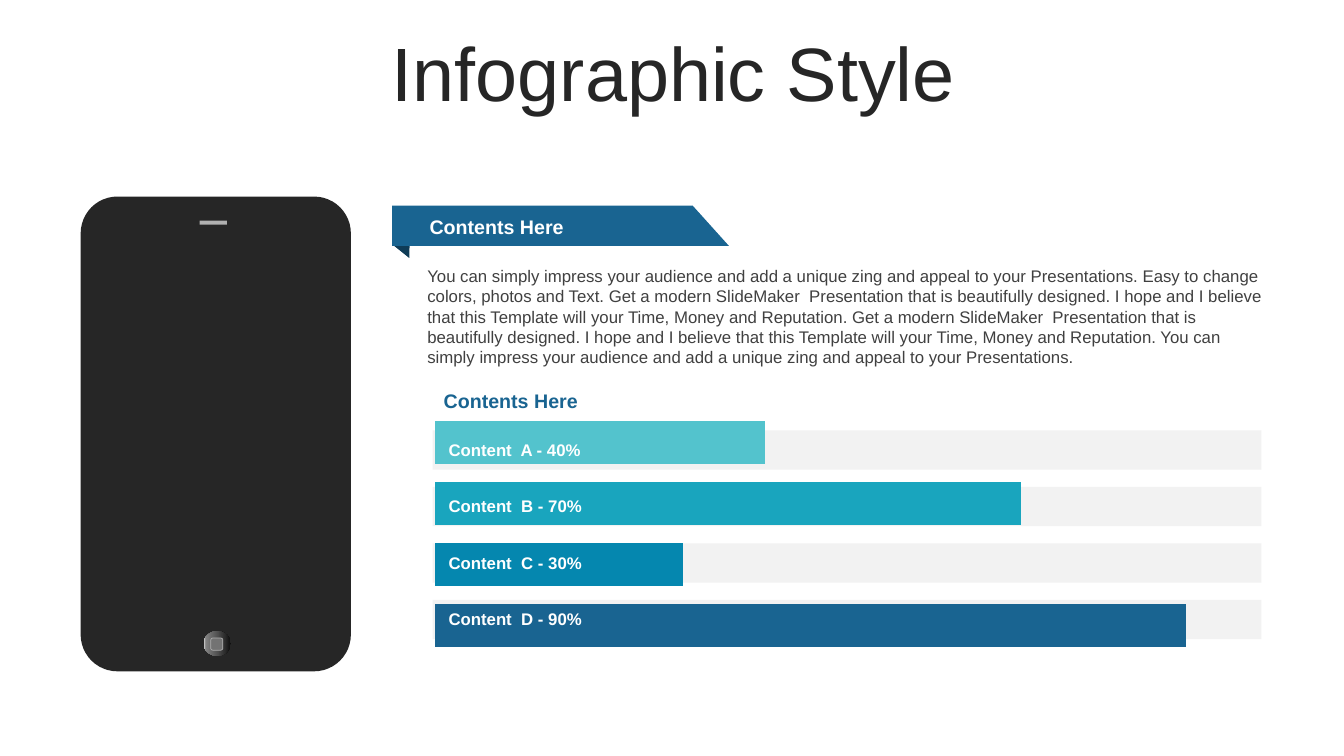
from copy import deepcopy
from pptx import Presentation
from pptx.chart.data import CategoryChartData
from pptx.dml.color import RGBColor
from pptx.enum.chart import XL_CHART_TYPE as ChartType
from pptx.enum.shapes import MSO_SHAPE as Shape
from pptx.enum.text import MSO_ANCHOR as Anchor, MSO_AUTO_SIZE as AutoSize, PP_ALIGN as Align
from pptx.oxml import parse_xml
from pptx.oxml.ns import nsdecls
from pptx.util import Inches, Pt

FONT = "Arial"
COLORS = {
    "dark": "262626", "text": "404040", "white": "FFFFFF", "black": "000000",
    "track": "F2F2F2", "silver": "B0B0B0", "key": "737373",
    "navy": "196491", "fold": "0F3C57",
    "blue": "0587AF", "teal": "19A5BE", "aqua": "53C3CD",
}
TITLE = "Infographic Style"
HEADING = "Contents Here"
BODY = (
    "You can simply impress your audience and add a unique zing and appeal to your Presentations. "
    "Easy to change colors, photos and Text. "
    "Get a modern SlideMaker  Presentation that is beautifully designed. "
    "I hope and I believe that this Template will your Time, Money and Reputation. "
    "Get a modern SlideMaker  Presentation that is beautifully designed. "
    "I hope and I believe that this Template will your Time, Money and Reputation. "
    "You can simply impress your audience and add a unique zing and appeal to your Presentations."
)
BARS = [
    ("Content  A - 40%", 44, "aqua"),
    ("Content  B - 70%", 78, "teal"),
    ("Content  C - 30%", 33, "blue"),
    ("Content  D - 90%", 100, "navy"),
]
BUTTON_STOPS = [(0, "0F0F0F"), (0.56, "595959"), (0.91, "808080"), (1, "BFBFBF")]
RIBBON = [(3.89, 2.04), (6.87, 2.04), (7.23, 2.44), (3.89, 2.44)]
RIBBON_FOLD = [(4.07, 2.06), (3.9, 2.06), (3.91, 2.44), (4.06, 2.56)]
TRACK_LEFT, TRACK_TOP, TRACK_WIDTH, TRACK_HEIGHT = 4.29, 4.27, 8.22, 0.39
TRACK_PITCH = 0.56
LABEL_LEFT, LABEL_OFFSET = 4.35, 0.04

presentation = Presentation()
presentation.slide_width, presentation.slide_height = Inches(13.33), Inches(7.5)
slide = presentation.slides.add_slide(presentation.slide_layouts[5])


def color(name):
    return RGBColor.from_string(COLORS[name])


def paint(shape, fill, line=None):
    shape.shadow.inherit = False
    shape.fill.solid()
    shape.fill.fore_color.rgb = color(fill)
    if line:
        shape.line.color.rgb = color(line)
        shape.line.width = Pt(0.5)
    else:
        shape.line.fill.background()


def add_block(kind, box, fill, line=None):
    shape = slide.shapes.add_shape(kind, *map(Inches, box))
    paint(shape, fill, line)
    return shape


def add_outline(points, fill):
    corners = [(Inches(x), Inches(y)) for x, y in points]
    builder = slide.shapes.build_freeform(*corners[0], scale=1.0)
    builder.add_line_segments(corners[1:], close=True)
    paint(builder.convert_to_shape(), fill)


def write(frame, text, size, fill, bold=False):
    frame.word_wrap = True
    paragraph = frame.paragraphs[0]
    run = paragraph.add_run()
    run.text = text
    run.font.name, run.font.size, run.font.bold = FONT, Pt(size), bold
    run.font.color.rgb = color(fill)
    return paragraph


def add_text(box, text, size, fill, bold=False, anchor=Anchor.MIDDLE, inset=0.1):
    frame = slide.shapes.add_textbox(*map(Inches, box)).text_frame
    frame.vertical_anchor = anchor
    frame.margin_left = Inches(inset)
    write(frame, text, size, fill, bold)
    return frame


def add_phone():
    body = add_block(Shape.ROUNDED_RECTANGLE, (0.8, 1.95, 2.68, 4.71), "dark")
    body.adjustments[0] = 0.136
    add_block(Shape.RECTANGLE, (1.98, 2.19, 0.27, 0.04), "silver")
    button = add_block(Shape.OVAL, (2.02, 6.26, 0.27, 0.25), "dark")
    button.fill.gradient()
    button.fill.gradient_angle = 180
    stops = button.fill.gradient_stops
    stop_list = button.fill._fill._gradFill.gsLst
    for _ in range(len(BUTTON_STOPS) - len(stops)):
        stop_list.append(deepcopy(stop_list[-1]))
    for stop, (position, shade) in zip(button.fill.gradient_stops, BUTTON_STOPS):
        stop.position = position
        stop.color.rgb = RGBColor.from_string(shade)
    add_block(Shape.ROUNDED_RECTANGLE, (2.09, 6.33, 0.12, 0.12), "key", "silver")


def add_bar_chart():
    upward = BARS[::-1]
    data = CategoryChartData()
    data.categories = [str(number + 1) for number in range(len(upward))]
    data.add_series("Series 1", [value for _, value, _ in upward])
    box = map(Inches, (4.14, 4.04, 8.63, 2.52))
    chart = slide.shapes.add_chart(ChartType.BAR_STACKED, *box, data).chart
    chart.has_legend = chart.has_title = False
    chart.font.name, chart.font.size = FONT, Pt(12)
    chart.font.color.rgb = color("black")
    chart.value_axis.minimum_scale, chart.value_axis.maximum_scale = 0, 110
    chart.value_axis.has_major_gridlines = False
    chart.value_axis.visible = chart.category_axis.visible = False
    plot = chart.plots[0]
    plot.gap_width, plot.overlap, plot.vary_by_categories = 40, 100, False
    series = plot.series[0]
    series.format.fill.solid()
    series.format.fill.fore_color.rgb = color("text")
    for index, (_, _, fill) in enumerate(upward):
        point_fill = series.points[index].format.fill
        point_fill.solid()
        point_fill.fore_color.rgb = color(fill)
    area = chart._chartSpace.chart.plotArea
    for layout in area.findall("{*}layout"):
        area.remove(layout)
    shares = {"x": 0.02, "y": 0.02, "w": 0.95, "h": 0.96}
    area.insert(0, parse_xml(
        f'<c:layout {nsdecls("c")}><c:manualLayout><c:layoutTarget val="inner"/>'
        '<c:xMode val="edge"/><c:yMode val="edge"/>'
        + "".join(f'<c:{key} val="{share}"/>' for key, share in shares.items())
        + "</c:manualLayout></c:layout>"))


def main():
    add_phone()
    add_outline(RIBBON_FOLD, "fold")
    add_outline(RIBBON, "navy")

    title = slide.shapes.title
    title.left, title.top, title.width, title.height = map(Inches, (0.35, 0.37, 12.66, 0.79))
    title.text_frame.vertical_anchor = Anchor.MIDDLE
    title.text_frame.auto_size = AutoSize.NONE
    paragraph = write(title.text_frame, TITLE, 54, "dark")
    paragraph.alignment, paragraph.line_spacing = Align.CENTER, 0.9

    tops = [TRACK_TOP + index * TRACK_PITCH for index in range(len(BARS))]
    for top in tops:
        add_block(Shape.RECTANGLE, (TRACK_LEFT, top, TRACK_WIDTH, TRACK_HEIGHT), "track")
    add_bar_chart()
    for top, (label, _, _) in zip(tops, BARS):
        frame = add_text((LABEL_LEFT, top + LABEL_OFFSET, 1.71, 0.3), label, 12, "white", True)
        frame.auto_size = AutoSize.SHAPE_TO_FIT_TEXT

    add_text((4.14, 2.04, 2.52, 0.41), HEADING, 14, "white", True, inset=0.12)
    add_text((4.28, 3.82, 1.91, 0.31), HEADING, 14, "navy", True, inset=0.12)
    body = add_text((4.14, 2.59, 8.54, 1.11), BODY, 12, "text", anchor=Anchor.TOP)
    body.auto_size = AutoSize.SHAPE_TO_FIT_TEXT
    presentation.save("out.pptx")


if __name__ == "__main__":
    main()
